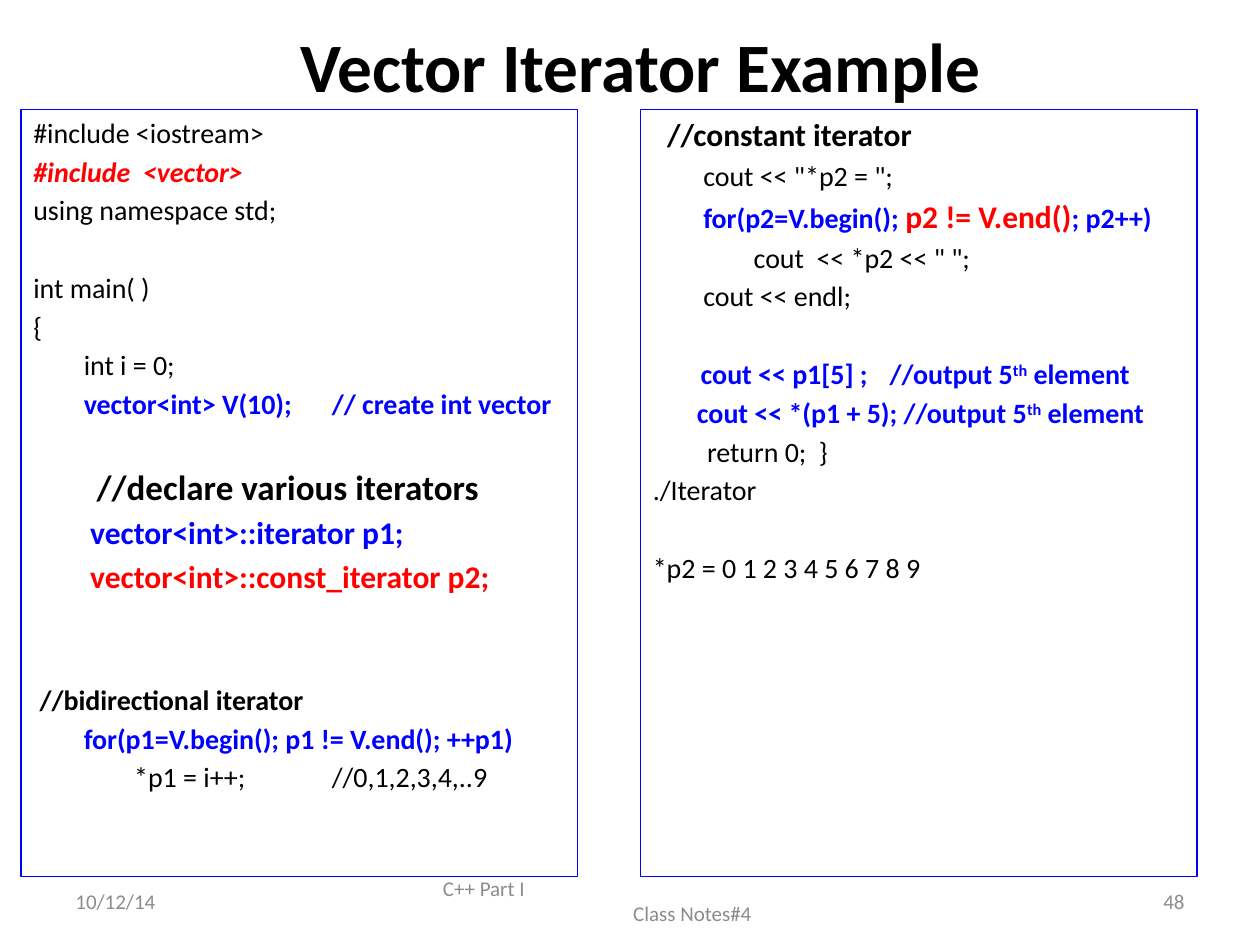
from dataclasses import dataclass
from typing import Any

from lxml.etree import SubElement
from pptx import Presentation
from pptx.dml.color import RGBColor
from pptx.enum.shapes import MSO_SHAPE
from pptx.enum.text import MSO_ANCHOR, PP_ALIGN
from pptx.oxml.ns import qn
from pptx.util import Inches, Pt


@dataclass(frozen=True)
class Theme:
    face: str = "Calibri"
    black: str = "000000"
    blue: str = "0000FF"
    red: str = "FF0000"
    gray: str = "8C8C8C"
    head: float = 39.6
    big: float = 20
    mid: float = 18
    code: float = 16
    foot: float = 12
    lead: float = 0.18
    blank: float = 22.4


@dataclass(frozen=True)
class Box:
    col: float
    row: float
    wide: float
    high: float


@dataclass(frozen=True)
class Bit:
    text: str
    color: str = Theme.black
    size: float = Theme.code
    bold: bool = False
    slant: bool = False
    lift: int = 0


@dataclass(frozen=True)
class Line:
    bits: tuple[Bit, ...]
    skip: float = 0


@dataclass(frozen=True)
class Panel:
    box: Box
    tabs: tuple[float, ...]
    lines: tuple[Line, ...]


@dataclass(frozen=True)
class Note:
    box: Box
    rows: tuple[tuple[str, float], ...]
    align: Any = PP_ALIGN.LEFT


COLS, ROWS = 120, 90
deck = Presentation()
deck.slide_width, deck.slide_height = Inches(10), Inches(7.5)


def place(box: Box) -> tuple[int, int, int, int]:
    unit_x, unit_y = deck.slide_width / COLS, deck.slide_height / ROWS
    return (round(box.col * unit_x), round(box.row * unit_y),
            round(box.wide * unit_x), round(box.high * unit_y))


def write(para: Any, text: str, *, size: float, color: str,
          bold: bool = False, slant: bool = False, lift: int = 0) -> None:
    run = para.add_run()
    run.text = text
    font = run.font
    font.name, font.size = Theme.face, Pt(size)
    font.bold, font.italic = bold, slant
    font.color.rgb = RGBColor.from_string(color)
    if lift:
        run._r.get_or_add_rPr().set("baseline", str(lift * 1000))


def next_para(frame: Any, index: int) -> Any:
    return frame.add_paragraph() if index else frame.paragraphs[0]


def set_tabs(para: Any, stops: tuple[float, ...]) -> None:
    tabs = SubElement(para._p.get_or_add_pPr(), qn("a:tabLst"))
    for stop in stops:
        SubElement(tabs, qn("a:tab"), pos=str(Inches(stop)), algn="l")


def draw_title(slide: Any, text: str, box: Box) -> None:
    title = slide.shapes.title
    title.left, title.top, title.width, title.height = place(box)
    title.text_frame.vertical_anchor = MSO_ANCHOR.MIDDLE
    para = title.text_frame.paragraphs[0]
    para.alignment = PP_ALIGN.CENTER
    write(para, text, size=Theme.head, color=Theme.black, bold=True)


def draw_panel(slide: Any, panel: Panel) -> None:
    shape = slide.shapes.add_shape(MSO_SHAPE.RECTANGLE, *place(panel.box))
    shape.shadow.inherit = False
    shape.fill.background()
    shape.line.color.rgb = RGBColor.from_string(Theme.blue)
    shape.line.width = Pt(0.75)
    frame = shape.text_frame
    frame.word_wrap = True
    frame.vertical_anchor = MSO_ANCHOR.TOP
    for index, line in enumerate(panel.lines):
        para = next_para(frame, index)
        set_tabs(para, panel.tabs)
        para.alignment = PP_ALIGN.LEFT
        if index:
            size = max(bit.size for bit in line.bits)
            para.space_before = Pt(round(size * Theme.lead + line.skip * Theme.blank, 2))
        for bit in line.bits:
            write(para, bit.text, size=bit.size, color=bit.color,
                  bold=bit.bold, slant=bit.slant, lift=bit.lift)


def draw_note(slide: Any, note: Note) -> None:
    frame = slide.shapes.add_textbox(*place(note.box)).text_frame
    frame.word_wrap = True
    frame.vertical_anchor = MSO_ANCHOR.MIDDLE
    for index, (text, indent) in enumerate(note.rows):
        para = next_para(frame, index)
        para.alignment = note.align
        if indent:
            para._p.get_or_add_pPr().set("marL", str(Inches(indent)))
        write(para, text, size=Theme.foot, color=Theme.gray)


def plain(text: str, skip: float = 0) -> Line:
    return Line((Bit(text),), skip)


def strong(text: str, color: str = Theme.black, size: float = Theme.code,
           skip: float = 0, slant: bool = False) -> Line:
    return Line((Bit(text, color, size, True, slant),), skip)


def fifth(text: str, skip: float = 0) -> Line:
    parts = ((text + " //output 5" if text.endswith(";") else text + "//output 5", 0),
             ("th", 30), (" element", 0))
    return Line(tuple(Bit(part, Theme.blue, bold=True, lift=lift)
                      for part, lift in parts), skip)


LEFT = Panel(Box(2, 10.4, 53, 73.1), (2.37,), (
    plain("#include <iostream>"),
    strong("#include  <vector>", Theme.red, slant=True),
    plain("using namespace std;"),
    plain("int main( )", skip=1),
    plain("{"),
    plain("        int i = 0;"),
    strong("        vector<int> V(10);\t// create int vector", Theme.blue),
    strong("        //declare various iterators", size=Theme.big, skip=1),
    strong("        vector<int>::iterator p1;", Theme.blue, Theme.mid),
    strong("        vector<int>::const_iterator p2;", Theme.red, Theme.mid),
    strong(" //bidirectional iterator", skip=2.12),
    strong("        for(p1=V.begin(); p1 != V.end(); ++p1)", Theme.blue),
    plain("                *p1 = i++;\t//0,1,2,3,4,..9"),
))

RIGHT = Panel(Box(61, 10.4, 53, 73.1), (0.38, 1.88), (
    strong("  //constant iterator", size=Theme.mid),
    plain('        cout << "*p2 = ";'),
    Line((Bit("        for(p2=V.begin(); ", Theme.blue, bold=True),
          Bit("p2 != V.end()", Theme.red, Theme.mid, True),
          Bit("; p2++)", Theme.blue, bold=True))),
    plain('                cout  << *p2 << " ";'),
    plain("        cout << endl;"),
    fifth("\tcout << p1[5] ;\t", skip=1),
    fifth("       cout << *(p1 + 5);"),
    plain("\t return 0;  }"),
    plain("./Iterator"),
    plain("*p2 = 0 1 2 3 4 5 6 7 8 9", skip=1),
))

NOTES = (
    Note(Box(6, 83.4, 28, 4.8), (("10/12/14", 0),)),
    Note(Box(41, 83.4, 38, 4.8), (("C++ Part I", 0), ("Class Notes#4", 1.51))),
    Note(Box(86, 83.4, 28, 4.8), (("48", 0),), PP_ALIGN.RIGHT),
)


def main() -> None:
    slide = deck.slides.add_slide(deck.slide_layouts[5])
    draw_title(slide, "Vector Iterator Example", Box(7, 2, 108, 8.4))
    for note in NOTES:
        draw_note(slide, note)
    for panel in (LEFT, RIGHT):
        draw_panel(slide, panel)
    deck.save("out.pptx")


if __name__ == "__main__":
    main()
